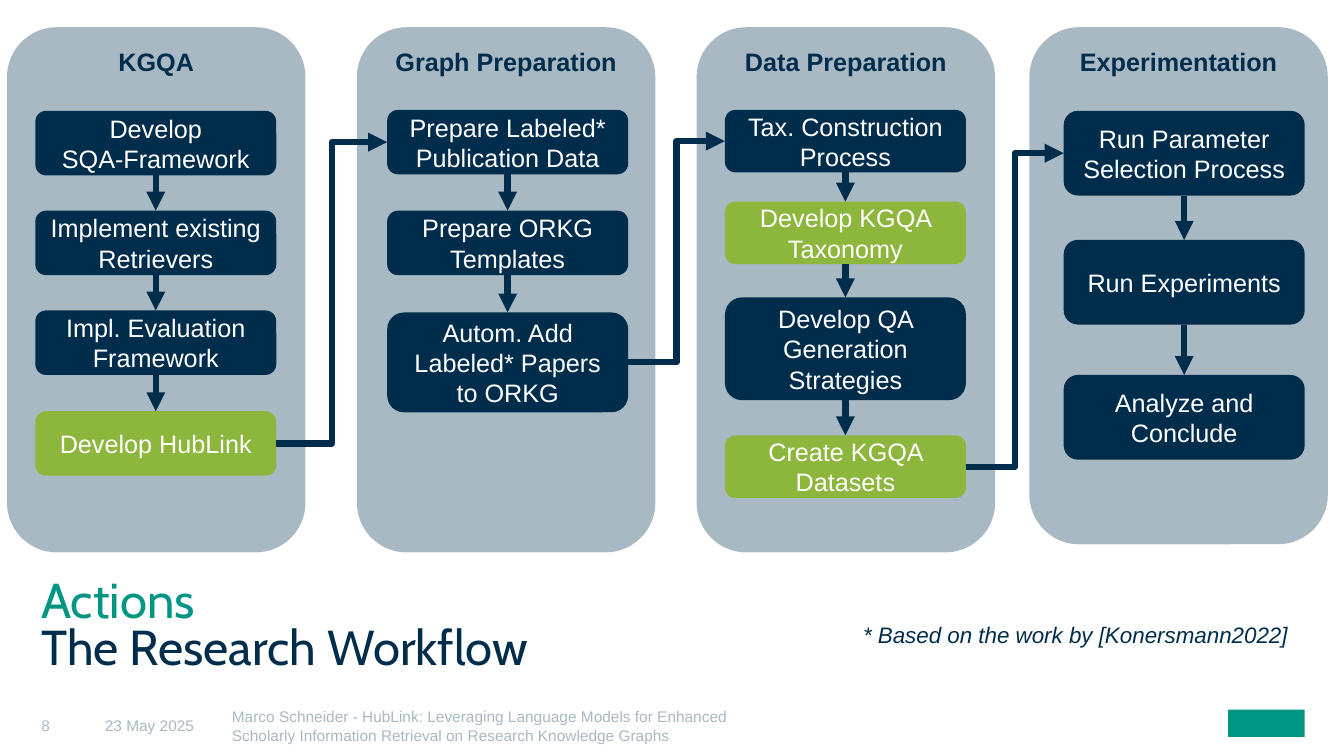
from dataclasses import dataclass
from typing import Optional

from pptx import Presentation
from pptx.dml.color import RGBColor
from pptx.enum.shapes import MSO_CONNECTOR as Link, MSO_SHAPE as Preset
from pptx.enum.text import MSO_ANCHOR as Anchor, PP_ALIGN as Align
from pptx.oxml.ns import qn
from pptx.util import Emu, Pt

NAVY = RGBColor(0x00, 0x2D, 0x4C)
GREY = RGBColor(0xA8, 0xB9, 0xC4)
LIME = RGBColor(0x8C, 0xB6, 0x3C)
TEAL = RGBColor(0x00, 0x96, 0x82)
WHITE = RGBColor(0xFF, 0xFF, 0xFF)

PANEL_TOP, PANEL_WIDTH, STEP_WIDTH = 27, 296, 239
BOTTOM, RIGHT, TOP, LEFT = 2, 3, 0, 1


@dataclass
class Step:
    label: str
    top: int
    height: int
    fill: RGBColor = NAVY


@dataclass
class Stage:
    title: str
    left: int
    step_left: int
    steps: list[Step]
    height: int = 521


@dataclass
class Footer:
    label: str
    left: int
    width: int


STAGES = [
    Stage("KGQA", 7, 35, [
        Step("Develop\nSQA-Framework", 110, 64),
        Step("Implement existing Retrievers", 209, 64),
        Step("Impl. Evaluation Framework", 308, 64),
        Step("Develop HubLink", 408, 64, LIME),
    ]),
    Stage("Graph Preparation", 354, 384, [
        Step("Prepare Labeled* Publication Data", 109, 64),
        Step("Prepare ORKG Templates", 209, 64),
        Step("Autom. Add Labeled* Papers to ORKG", 310, 99),
    ]),
    Stage("Data Preparation", 691, 719, [
        Step("Tax. Construction Process", 109, 62),
        Step("Develop KGQA Taxonomy", 200, 62, LIME),
        Step("Develop QA Generation Strategies", 295, 102),
        Step("Create KGQA Datasets", 432, 62, LIME),
    ]),
    Stage("Experimentation", 1021, 1055, [
        Step("Run Parameter Selection Process", 110, 84),
        Step("Run Experiments", 238, 84),
        Step("Analyze and Conclude", 372, 84),
    ], 513),
]

FOOTERS = [
    Footer("8", 41, 63),
    Footer("23 May 2025", 104, 126),
    Footer("Marco Schneider - HubLink: Leveraging Language Models for Enhanced "
           "Scholarly Information Retrieval on Research Knowledge Graphs", 230, 500),
]


def px(length: int) -> Emu:
    return Emu(length * 9144)


def write(shape, text: str, *, size: int, color: RGBColor, font: str = "Arial",
          bold: bool = False, italic: bool = False, align=Align.LEFT,
          anchor=Anchor.TOP, spacing: Optional[float] = None) -> None:
    """Fill a shape with one paragraph per line of text."""
    frame = shape.text_frame
    frame.word_wrap = True
    frame.vertical_anchor = anchor
    for index, line in enumerate(text.split("\n")):
        para = frame.add_paragraph() if index else frame.paragraphs[0]
        para.alignment = align
        para.line_spacing = spacing
        span = para.add_run()
        span.text = line
        span.font.name, span.font.size = font, Pt(size)
        span.font.bold, span.font.italic = bold, italic
        span.font.color.rgb = color


def add_block(page, preset, left: int, top: int, width: int, height: int, fill: RGBColor):
    block = page.shapes.add_shape(preset, px(left), px(top), px(width), px(height))
    block.shadow.inherit = False
    block.fill.solid()
    block.fill.fore_color.rgb = fill
    block.line.fill.background()
    return block


def add_text_box(page, left: int, top: int, width: int, height: int, inset_top: int = 0):
    box = page.shapes.add_textbox(px(left), px(top), px(width), px(height))
    frame = box.text_frame
    frame.margin_left = frame.margin_right = frame.margin_bottom = 0
    frame.margin_top = px(inset_top)
    return box


def add_arrow(page, kind, source, source_side: int, target, target_side: int) -> None:
    arrow = page.shapes.add_connector(kind, 0, 0, 0, 0)
    arrow.begin_connect(source, source_side)
    arrow.end_connect(target, target_side)
    arrow.line.color.rgb = NAVY
    arrow.line.width = Pt(4.5)
    outline = arrow.line._get_or_add_ln()
    outline.append(outline.makeelement(qn("a:tailEnd"), {"type": "triangle"}))
    properties = arrow._element.spPr
    properties.append(properties.makeelement(qn("a:effectLst"), {}))


def add_stage(page, stage: Stage) -> list:
    """Draw one panel with its chain of steps and return the step boxes."""
    panel = add_block(page, Preset.ROUNDED_RECTANGLE, stage.left, PANEL_TOP,
                      PANEL_WIDTH, stage.height, GREY)
    write(panel, stage.title, size=18, color=NAVY, bold=True, align=Align.CENTER)
    boxes = []
    for step in stage.steps:
        box = add_block(page, Preset.ROUNDED_RECTANGLE, stage.step_left, step.top,
                        STEP_WIDTH, step.height, step.fill)
        write(box, step.label, size=18, color=WHITE, align=Align.CENTER,
              anchor=Anchor.MIDDLE)
        boxes.append(box)
    for upper, lower in zip(boxes, boxes[1:]):
        add_arrow(page, Link.STRAIGHT, upper, BOTTOM, lower, TOP)
    return boxes


def main() -> None:
    deck = Presentation()
    deck.slide_width, deck.slide_height = px(1333), px(750)
    page = deck.slides.add_slide(deck.slide_layouts[6])

    # Workflow stages, each leading from its last step to the next first step
    chains = [add_stage(page, stage) for stage in STAGES]
    for current, following in zip(chains, chains[1:]):
        add_arrow(page, Link.ELBOW, current[-1], RIGHT, following[0], LEFT)

    # Two-line title
    title = add_text_box(page, 41, 576, 614, 111)
    write(title, "Actions\nThe Research Workflow", size=35, color=NAVY,
          font="Cabin", spacing=0.8)
    title.text_frame.paragraphs[0].runs[0].font.color.rgb = TEAL

    # Source note
    note = add_text_box(page, 856, 616, 430, 111)
    write(note, "* Based on the work by [Konersmann2022]", size=16, color=NAVY, italic=True)

    # Footer and emblem block
    for footer in FOOTERS:
        box = add_text_box(page, footer.left, 686, footer.width, 64, inset_top=4)
        write(box, footer.label, size=11, color=GREY, anchor=Anchor.MIDDLE)
    add_block(page, Preset.RECTANGLE, 1218, 704, 76, 27, TEAL)

    deck.save("out.pptx")


if __name__ == "__main__":
    main()
